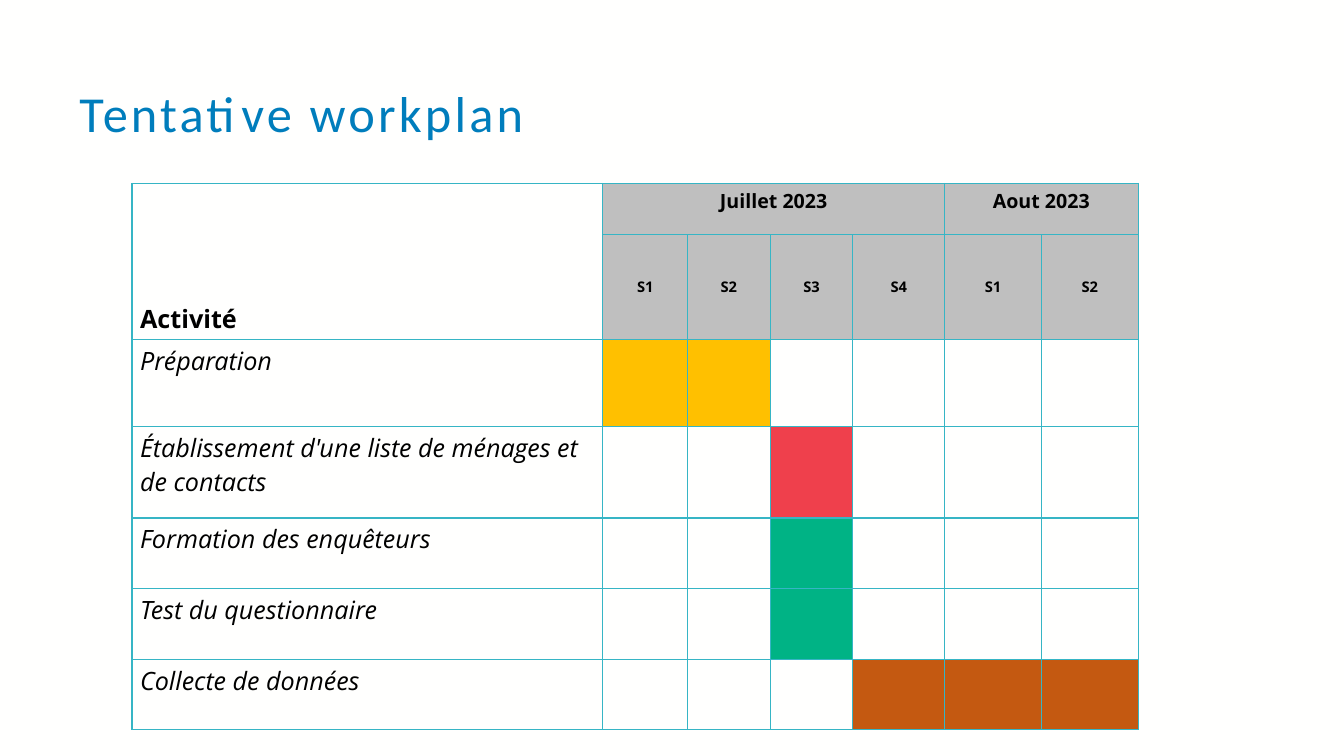
"""Build the tentative workplan slide with its Gantt-style table."""
from dataclasses import dataclass

from lxml.etree import SubElement
from pptx import Presentation
from pptx.dml.color import RGBColor
from pptx.enum.text import MSO_ANCHOR as Anchor, PP_ALIGN as Align
from pptx.oxml.ns import qn
from pptx.util import Inches, Pt

BLUE, BLACK, GREY, TEAL = "007DBC", "000000", "BFBFBF", "36B5C5"
YELLOW, RED, GREEN, BROWN = "FFC000", "EF404C", "00B385", "C45911"
COLUMN_WIDTHS = [4.67, 0.84, 0.82, 0.82, 0.91, 0.96, 0.96]
ROW_HEIGHTS = [0.51, 1.04, 0.86, 0.91, 0.7, 0.7, 0.7]


@dataclass
class Month:
    name: str
    weeks: int


@dataclass
class Activity:
    name: str
    first_week: int
    last_week: int
    color: str


MONTHS = [Month("Juillet 2023", 4), Month("Aout 2023", 2)]
ACTIVITIES = [
    Activity("Préparation", 1, 2, YELLOW),
    Activity("Établissement d'une liste de ménages et de contacts", 3, 3, RED),
    Activity("Formation des enquêteurs", 3, 3, GREEN),
    Activity("Test du questionnaire", 3, 3, GREEN),
    Activity("Collecte de données", 4, 6, BROWN),
]


def rgb(color: str) -> RGBColor:
    return RGBColor.from_string(color)


def add_run(paragraph, text: str, size: float, color: str = BLACK, font: str = "Open Sans",
            bold: bool = False, italic: bool = False):
    run = paragraph.add_run()
    run.text = text
    run.font.name = font
    run.font.size = Pt(size)
    run.font.bold = bold
    run.font.italic = italic
    run.font.color.rgb = rgb(color)
    return run


def add_title(slide, text: str) -> None:
    box = slide.shapes.add_textbox(Inches(0.69), Inches(0.79), Inches(11.53), Inches(0.72))
    frame = box.text_frame
    frame.word_wrap = True
    frame.vertical_anchor = Anchor.MIDDLE
    paragraph = frame.paragraphs[0]
    paragraph.line_spacing = 0.9
    run = add_run(paragraph, text, 36, BLUE, "Calibri")
    run.font._element.set("spc", "230")


def style_cell(cell) -> None:
    cell.margin_left = cell.margin_right = Inches(0.08)
    cell.margin_top = cell.margin_bottom = Inches(0.04)
    properties = cell._tc.get_or_add_tcPr()
    for side in ("a:lnL", "a:lnR", "a:lnT", "a:lnB"):
        line = SubElement(properties, qn(side), w=str(Pt(1)))
        fill = SubElement(line, qn("a:solidFill"))
        SubElement(fill, qn("a:srgbClr"), val=TEAL)
    cell.fill.background()


def fill_cell(cell, color: str) -> None:
    cell.fill.solid()
    cell.fill.fore_color.rgb = rgb(color)


def write_cell(cell, text: str, size: float, align: Align = Align.LEFT,
               anchor: Anchor = Anchor.TOP, bold: bool = False, italic: bool = False) -> None:
    cell.vertical_anchor = anchor
    paragraph = cell.text_frame.paragraphs[0]
    paragraph.alignment = align
    add_run(paragraph, text, size, bold=bold, italic=italic)


def add_header(table) -> None:
    table.cell(0, 0).merge(table.cell(1, 0))
    write_cell(table.cell(0, 0), "Activité", 18, anchor=Anchor.BOTTOM, bold=True)
    column = 1
    for month in MONTHS:
        month_cell = table.cell(0, column)
        month_cell.merge(table.cell(0, column + month.weeks - 1))
        write_cell(month_cell, month.name, 14, Align.CENTER, bold=True)
        for week in range(month.weeks):
            fill_cell(table.cell(0, column + week), GREY)
            week_cell = table.cell(1, column + week)
            fill_cell(week_cell, GREY)
            write_cell(week_cell, f"S{week + 1}", 10.5, Align.CENTER, Anchor.MIDDLE, bold=True)
        column += month.weeks


def add_workplan(slide) -> None:
    frame = slide.shapes.add_table(len(ROW_HEIGHTS), len(COLUMN_WIDTHS), Inches(1.31), Inches(1.82),
                                   Inches(sum(COLUMN_WIDTHS)), Inches(sum(ROW_HEIGHTS)))
    table = frame.table
    table.first_row = table.horz_banding = False
    for column, width in zip(table.columns, COLUMN_WIDTHS):
        column.width = Inches(width)
    for row, height in zip(table.rows, ROW_HEIGHTS):
        row.height = Inches(height)
    for cell in table.iter_cells():
        style_cell(cell)
    add_header(table)
    for row_index, activity in enumerate(ACTIVITIES, start=2):
        write_cell(table.cell(row_index, 0), activity.name, 18, italic=True)
        for week in range(activity.first_week, activity.last_week + 1):
            fill_cell(table.cell(row_index, week), activity.color)


def main() -> None:
    presentation = Presentation()
    presentation.slide_width = Inches(13.33)
    presentation.slide_height = Inches(7.5)
    slide = presentation.slides.add_slide(presentation.slide_layouts[6])
    slide.background.fill.solid()
    slide.background.fill.fore_color.rgb = rgb("FFFFFE")
    add_title(slide, "Tentative workplan")
    add_workplan(slide)
    presentation.save("out.pptx")


if __name__ == "__main__":
    main()
